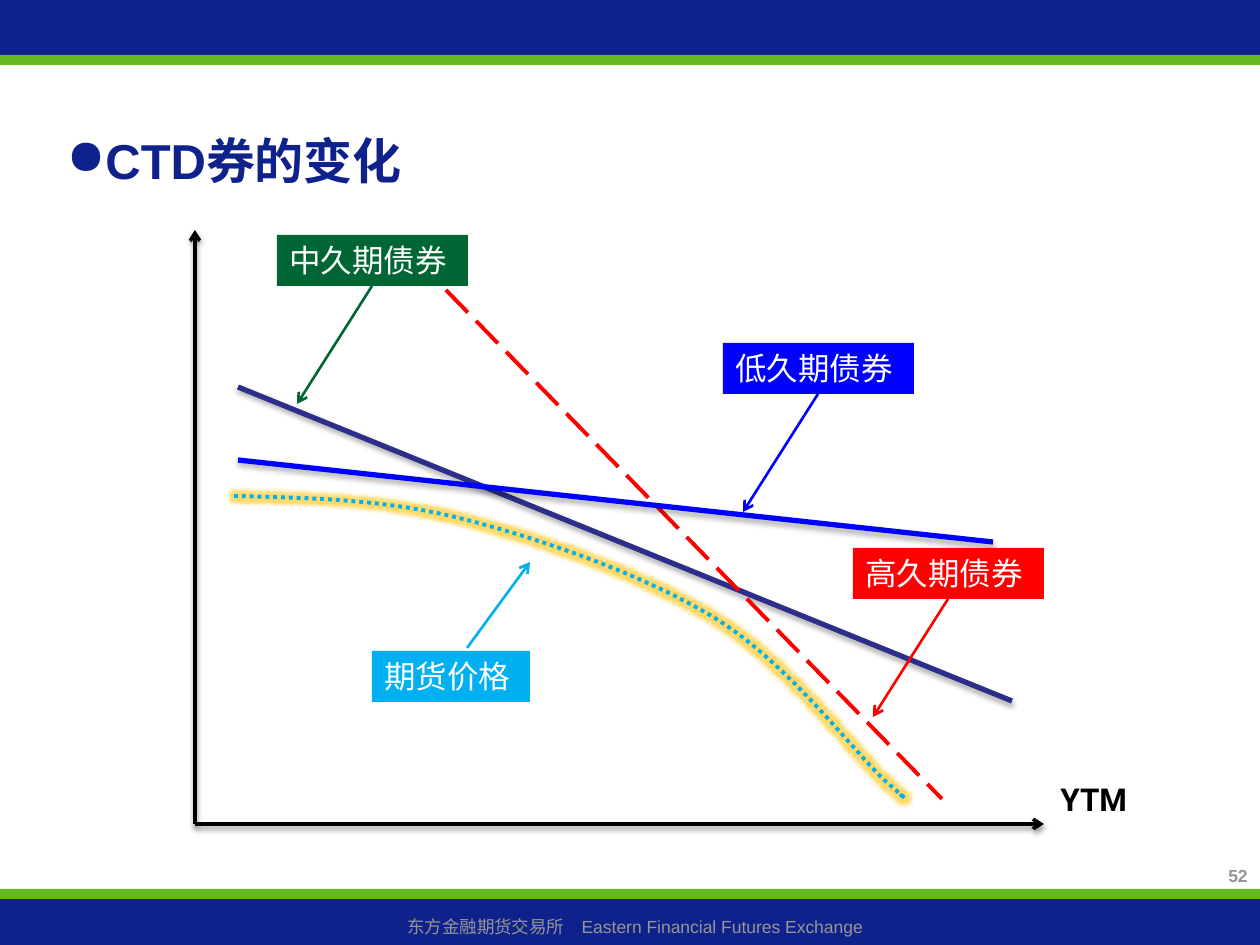
from typing import NamedTuple, Optional

from lxml.etree import SubElement
from pptx import Presentation
from pptx.dml.color import RGBColor
from pptx.enum.dml import MSO_LINE
from pptx.enum.shapes import MSO_CONNECTOR, MSO_SHAPE
from pptx.enum.text import MSO_ANCHOR, PP_ALIGN
from pptx.oxml.ns import qn
from pptx.util import Pt

NAVY = RGBColor(0x0F, 0x21, 0x8B)
LIME = RGBColor(0x66, 0xB8, 0x21)
GREY = RGBColor(0x96, 0x96, 0x96)
BLACK = RGBColor(0, 0, 0)
WHITE = RGBColor(0xFF, 0xFF, 0xFF)
PURPLE = RGBColor(0x2D, 0x2D, 0x8A)
RED = RGBColor(0xFF, 0, 0)
BLUE = RGBColor(0, 0, 0xFF)
GREEN = RGBColor(0, 0x66, 0x33)
CYAN = RGBColor(0, 0xB0, 0xF0)
GOLD = RGBColor(0xFF, 0xC0, 0)
STEPS = 16


class Box(NamedTuple):
    x: int
    y: int
    w: int
    h: int


class Line(NamedTuple):
    x1: int
    y1: int
    x2: int
    y2: int
    color: RGBColor
    width: float
    arrow: bool = False
    shade: int = 0
    dash: Optional[MSO_LINE] = None


class Label(NamedTuple):
    text: str
    box: Box
    color: RGBColor
    arrow: Line


def px(value: float) -> int:
    return round(value * 914400 / 126)


def place(box: Box) -> list[int]:
    return [px(v) for v in box]


def style(frame, text: str, size: int, font: str, color: RGBColor,
          bold: bool = False, align=PP_ALIGN.LEFT) -> None:
    frame.text = text
    frame.word_wrap = True
    para = frame.paragraphs[0]
    para.alignment = align
    face = para.runs[0].font
    face.size = Pt(size)
    face.name = font
    face.bold = bold
    face.color.rgb = color


def add_rect(slide, box: Box, color: RGBColor):
    rect = slide.shapes.add_shape(MSO_SHAPE.RECTANGLE, *place(box))
    rect.shadow.inherit = False
    rect.fill.solid()
    rect.fill.fore_color.rgb = color
    rect.line.fill.background()
    return rect


def add_text(slide, box: Box, *args, **opts) -> None:
    style(slide.shapes.add_textbox(*place(box)).text_frame, *args, **opts)


def add_tint(effect, color: RGBColor, alpha: int) -> None:
    tint = SubElement(effect, qn("a:srgbClr"), val=str(color))
    SubElement(tint, qn("a:alpha"), val=str(alpha * 1000))


def add_line(slide, item: Line) -> None:
    ends = [px(v) for v in item[:4]]
    link = slide.shapes.add_connector(MSO_CONNECTOR.STRAIGHT, *ends)
    link.line.color.rgb = item.color
    link.line.width = Pt(item.width)
    if item.dash:
        link.line.dash_style = item.dash
    props = link._element.spPr
    if item.arrow:
        SubElement(props.find(qn("a:ln")), qn("a:tailEnd"), type="arrow")
    effects = SubElement(props, qn("a:effectLst"))
    if item.shade:
        shadow = SubElement(effects, qn("a:outerShdw"), blurRad="40000",
                            dist="22000", dir="5400000", rotWithShape="0")
        add_tint(shadow, BLACK, item.shade)


def add_label(slide, item: Label) -> None:
    rect = add_rect(slide, item.box, item.color)
    style(rect.text_frame, item.text, 18, "Roboto", WHITE)
    rect.text_frame.vertical_anchor = MSO_ANCHOR.TOP
    add_line(slide, item.arrow)


def drop(text: str, x: int, y: int, color: RGBColor) -> Label:
    mid, low = x + 95, y + 51
    arrow = Line(mid, low, mid - 75, low + 118, color, 1.5, True)
    return Label(text, Box(x, y, 191, 51), color, arrow)


def bezier(a, b, c, d, t: float) -> tuple[int, int]:
    s = 1 - t
    x, y = (s**3 * p + 3 * s * s * t * q + 3 * s * t * t * r + t**3 * e
            for p, q, r, e in zip(a, b, c, d))
    return px(x), px(y)


def add_curve(slide, knots: list[tuple[int, int]]) -> None:
    dots = [bezier(*knots[i:i + 4], n / STEPS)
            for i in range(0, len(knots) - 1, 3)
            for n in range(1, STEPS + 1)]
    pen = slide.shapes.build_freeform(*(px(v) for v in knots[0]))
    pen.add_line_segments(dots, close=False)
    curve = pen.convert_to_shape()
    curve.fill.background()
    curve.line.color.rgb = CYAN
    curve.line.width = Pt(2.25)
    curve.line.dash_style = MSO_LINE.ROUND_DOT
    curve.shadow.inherit = False
    effects = curve._element.spPr.find(qn("a:effectLst"))
    glow = SubElement(effects, qn("a:glow"), rad="63500")
    add_tint(glow, GOLD, 60)


BANDS = [
    (Box(0, 0, 1260, 55), NAVY),
    (Box(0, 889, 1260, 10), LIME),
    (Box(0, 55, 1260, 10), LIME),
    (Box(0, 899, 1260, 46), NAVY),
]
LINES = [
    Line(195, 824, 195, 230, BLACK, 2, True, 38),
    Line(195, 824, 1044, 824, BLACK, 2, True, 38),
    Line(238, 387, 1012, 701, PURPLE, 3, shade=35),
    Line(446, 290, 942, 799, RED, 2.25, dash=MSO_LINE.LONG_DASH),
    Line(238, 460, 993, 542, BLUE, 3, shade=35),
]
KNOTS = [
    (234, 496), (311, 498), (387, 499), (467, 520), (548, 541),
    (649, 577), (718, 620), (788, 664), (853, 750), (883, 779),
    (914, 806), (906, 799), (898, 793),
]
LABELS = [
    drop("高久期债券", 853, 548, RED),
    drop("低久期债券", 723, 343, BLUE),
    drop("中久期债券", 277, 235, GREEN),
    Label("期货价格", Box(372, 651, 158, 51), CYAN,
          Line(467, 648, 530, 562, CYAN, 1.5, True)),
]


def main() -> None:
    deck = Presentation()
    deck.slide_width, deck.slide_height = px(1260), px(945)
    slide = deck.slides.add_slide(deck.slide_layouts[5])
    for box, color in BANDS:
        add_rect(slide, box, color)
    add_text(slide, Box(10, 910, 1250, 34),
             "东方金融期货交易所　Eastern Financial Futures Exchange",
             10, "Arial", GREY, align=PP_ALIGN.CENTER)

    title = slide.shapes.title
    title.left, title.top, title.width, title.height = place(
        Box(54, 115, 873, 89))
    frame = title.text_frame
    frame.vertical_anchor = MSO_ANCHOR.MIDDLE
    style(frame, "CTD券的变化", 28, "Arial", NAVY, True)
    props = frame.paragraphs[0]._p.get_or_add_pPr()
    SubElement(props, qn("a:buChar"), char="●")

    add_text(slide, Box(1012, 859, 248, 45), "52", 10, "Arial", GREY,
             bold=True, align=PP_ALIGN.RIGHT)
    for item in LINES:
        add_line(slide, item)
    add_text(slide, Box(1048, 774, 100, 51), "YTM", 18, "Roboto", BLACK,
             bold=True)
    add_curve(slide, KNOTS)
    for item in LABELS:
        add_label(slide, item)
    deck.save("out.pptx")


if __name__ == "__main__":
    main()
